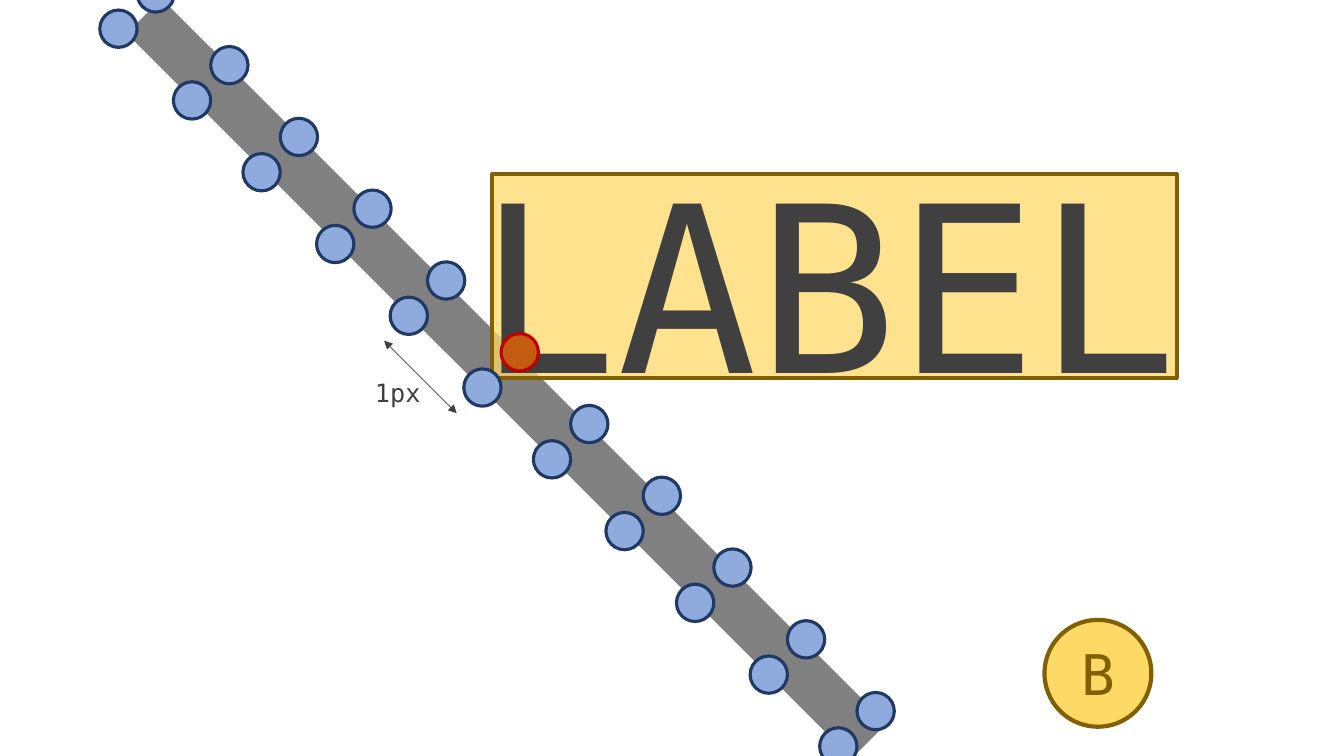
from dataclasses import dataclass

from lxml.etree import SubElement
from pptx import Presentation
from pptx.dml.color import RGBColor
from pptx.enum.shapes import MSO_CONNECTOR, MSO_SHAPE
from pptx.enum.text import MSO_ANCHOR, MSO_AUTO_SIZE, PP_ALIGN
from pptx.oxml.ns import qn
from pptx.util import Inches, Pt


@dataclass(frozen=True)
class Theme:
    """Colours, font and sizes of the slide."""
    font: str = "DejaVu Sans Mono"
    ink: str = "404040"
    road: str = "808080"
    gold: str = "FFD966"
    brown: str = "806000"
    blue: str = "8FAADC"
    navy: str = "203864"
    rust: str = "C55A11"
    red: str = "C00000"
    label: int = 166
    badge: int = 40
    note: int = 18
    thick: float = 3
    edge: float = 2.25
    thin: float = 0.5


def write(frame, text, font, size, color, align=PP_ALIGN.LEFT):
    """Put one formatted line of text in a frame."""
    line = frame.paragraphs[0]
    line.alignment = align
    run = line.add_run()
    run.text = text
    run.font.name = font
    run.font.size = Pt(size)
    run.font.color.rgb = RGBColor.from_string(color)


class Board:
    """Draws elements on one slide in one style."""

    def __init__(self, slide, theme):
        """Keep the slide and its theme."""
        self.shapes = slide.shapes
        self.theme = theme

    def shape(self, kind, box, fill, line=None, width=0, alpha=None, turn=0):
        """Add a filled preset shape."""
        item = self.shapes.add_shape(kind, *map(Inches, box))
        item.shadow.inherit = False
        item.rotation = turn
        item.fill.solid()
        item.fill.fore_color.rgb = RGBColor.from_string(fill)
        if alpha is not None:
            color = item.fill._xPr.find(f"{qn('a:solidFill')}/{qn('a:srgbClr')}")
            SubElement(color, qn("a:alpha"), val=str(alpha * 1000))
        if line:
            item.line.color.rgb = RGBColor.from_string(line)
            item.line.width = Pt(width)
        else:
            item.line.fill.background()
        return item

    def dot(self, left, top, fill, line):
        """Add a small round sample point."""
        size = 0.37
        self.shape(MSO_SHAPE.OVAL, (left, top, size, size), fill, line, self.theme.edge)

    def text(self, box, words, size):
        """Add a text box that grows with its text."""
        frame = self.shapes.add_textbox(*map(Inches, box)).text_frame
        frame.word_wrap = False
        frame.auto_size = MSO_AUTO_SIZE.SHAPE_TO_FIT_TEXT
        write(frame, words, font=self.theme.font, size=size, color=self.theme.ink)

    def arrow(self, *ends):
        """Add a thin line with a head at both ends."""
        item = self.shapes.add_connector(MSO_CONNECTOR.STRAIGHT, *map(Inches, ends))
        item.line.color.rgb = RGBColor.from_string(self.theme.ink)
        item.line.width = Pt(self.theme.thin)
        for end in ("a:headEnd", "a:tailEnd"):
            SubElement(item.line._get_or_add_ln(), qn(end), type="triangle")
        SubElement(item._element.spPr, qn("a:effectLst"))

    def badge(self, box, words):
        """Add a round badge with a centred letter."""
        look = self.theme
        item = self.shape(MSO_SHAPE.OVAL, box, look.gold, look.brown, look.thick)
        item.text_frame.vertical_anchor = MSO_ANCHOR.MIDDLE
        write(item.text_frame, words, font=look.font, size=look.badge,
              color=look.brown, align=PP_ALIGN.CENTER)


def draw(board):
    """Draw the road, its label, the sample points and the notes."""
    look = board.theme
    board.shape(MSO_SHAPE.RECTANGLE, (-0.06, 3.51, 10.17, 0.49), look.road, turn=45)
    board.shape(MSO_SHAPE.RECTANGLE, (4.88, 1.73, 6.79, 2.02), look.gold,
                look.brown, look.thick, alpha=74)
    board.text((4.64, 1.35, 7.19, 2.89), "LABEL", look.label)

    lefts = (0.99, 1.72, 2.41, 3.14, 3.87, 4.6, 5.29, 6.01, 6.71, 7.44, 8.13)
    first, last = 0.1, 7.22
    step = (last - first) / (len(lefts) - 1)
    anchor = 5  # upper point where the label starts
    for row, left in enumerate(lefts):
        top = first + row * step
        board.dot(left, top, look.blue, look.navy)
        pair = (look.rust, look.red) if row == anchor else (look.blue, look.navy)
        board.dot(left + 0.37, top - 0.35, *pair)

    board.arrow(3.81, 3.38, 4.53, 4.1)
    board.text((3.62, 3.69, 0.65, 0.4), "1px", look.note)
    board.badge((10.36, 6.15, 1.06, 1.06), "B")


def main():
    """Build and save the deck."""
    deck = Presentation()
    deck.slide_width, deck.slide_height = Inches(13.33), Inches(7.5)
    draw(Board(deck.slides.add_slide(deck.slide_layouts[6]), Theme()))
    deck.save("out.pptx")


main()
